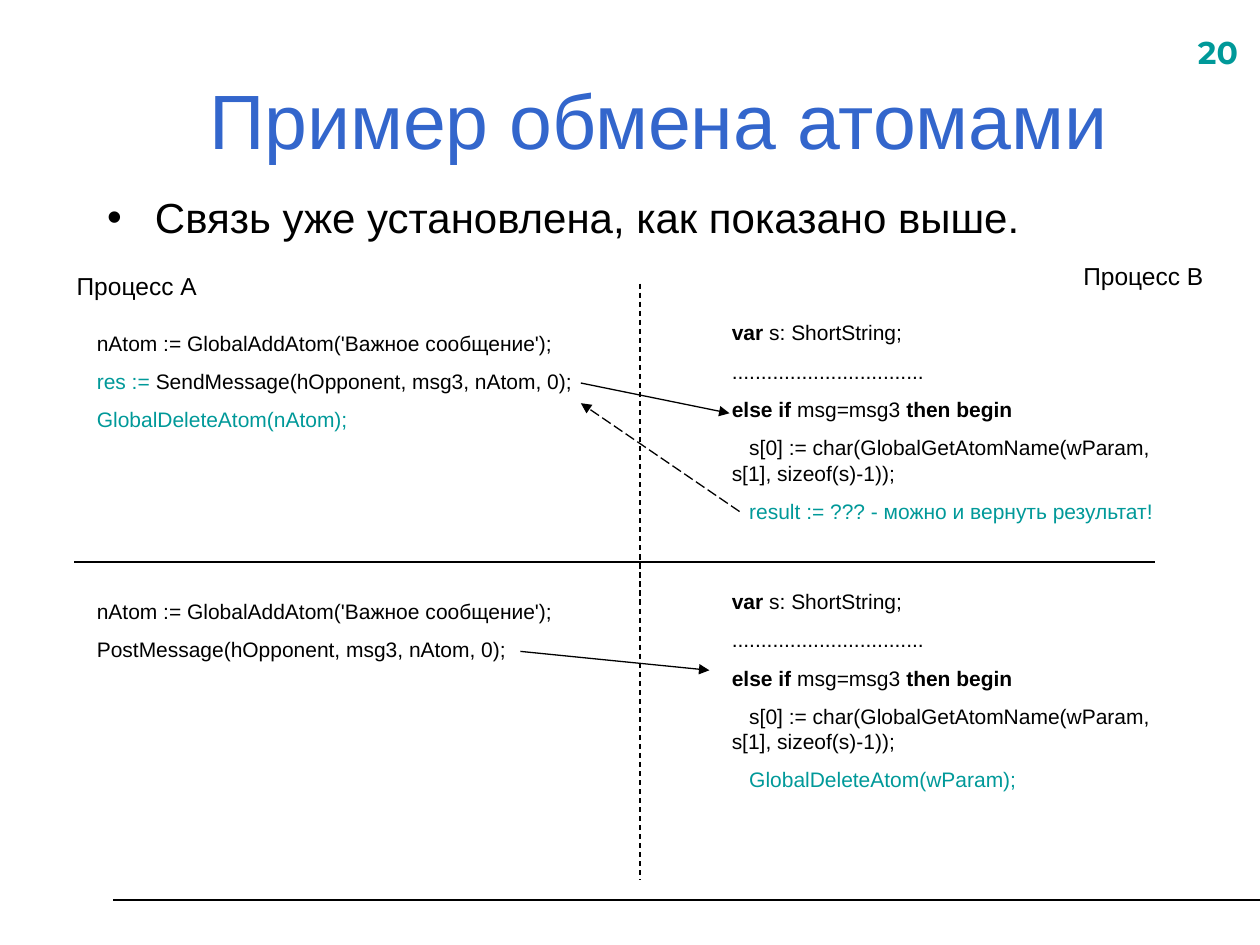
from lxml import etree
from pptx import Presentation
from pptx.dml.color import RGBColor
from pptx.enum.dml import MSO_LINE
from pptx.enum.shapes import MSO_CONNECTOR
from pptx.enum.text import MSO_ANCHOR, MSO_AUTO_SIZE, PP_ALIGN
from pptx.oxml.ns import qn
from pptx.util import Inches, Pt

COLORS = {"title": "3366CC", "accent": "009999", "text": "000000"}
BODY_FONT, NUMBER_FONT = "Arial", "Montserrat"
STRAIGHT = MSO_CONNECTOR.STRAIGHT
DASH, LONG_DASH = MSO_LINE.DASH, MSO_LINE.LONG_DASH
LEFT, CENTER, RIGHT = PP_ALIGN.LEFT, PP_ALIGN.CENTER, PP_ALIGN.RIGHT
TOP, MIDDLE = MSO_ANCHOR.TOP, MSO_ANCHOR.MIDDLE
COLUMNS, ROWS = 100, 75
SCENARIO_STEP = 21.3
CODE_GAP = 7.5


class SlideBuilder:
    """Places styled elements on a grid of 100 columns by 75 rows."""

    def __init__(self, deck):
        self.slide = deck.slides.add_slide(deck.slide_layouts[1])
        self.column = deck.slide_width / COLUMNS
        self.row = deck.slide_height / ROWS

    def box(self, left, top, width, height):
        return (round(left * self.column), round(top * self.row),
                round(width * self.column), round(height * self.row))

    def format_font(self, font, size, color="text", bold=False, name=BODY_FONT):
        font.name, font.size, font.bold = name, Pt(size), bold
        font.color.rgb = RGBColor.from_string(COLORS[color])

    def placeholder(self, index, area, text, size, color, align, anchor):
        holder = self.slide.placeholders[index]
        holder.left, holder.top, holder.width, holder.height = self.box(*area)
        frame = holder.text_frame
        frame.text = text
        frame.auto_size = MSO_AUTO_SIZE.NONE
        frame.vertical_anchor = anchor
        paragraph = frame.paragraphs[0]
        paragraph.alignment = align
        paragraph.space_before = Pt(0)
        self.format_font(paragraph.runs[0].font, size, color)
        return paragraph

    def title(self, area, text):
        self.placeholder(0, area, text, 44, "title", CENTER, MIDDLE)

    def bullet(self, area, text):
        paragraph = self.placeholder(1, area, text, 24, "text", LEFT, TOP)
        properties = paragraph._p.get_or_add_pPr()
        properties.set("marL", str(Inches(0.38)))
        properties.set("indent", str(-Inches(0.38)))
        etree.SubElement(properties, qn("a:buChar"), char="•")

    def text_frame(self, area):
        frame = self.slide.shapes.add_textbox(*self.box(*area)).text_frame
        frame.word_wrap = True
        return frame

    def label(self, area, text, size=14, align=LEFT, **style):
        frame = self.text_frame(area)
        frame.text = text
        frame.paragraphs[0].alignment = align
        self.format_font(frame.paragraphs[0].runs[0].font, size, **style)

    def code(self, area, lines):
        """Each line is a list of (text, style) with style plain, bold or accent."""
        frame = self.text_frame(area)
        for number, line in enumerate(lines):
            paragraph = frame.add_paragraph() if number else frame.paragraphs[0]
            paragraph.space_before = Pt(CODE_GAP if number else 0)
            for text, style in line:
                run = paragraph.add_run()
                run.text = text
                self.format_font(run.font, 12, "accent" if style == "accent" else "text",
                                 style == "bold")

    def line(self, start, end, width=0.75, dash=None, arrow=False):
        points = self.box(*start, *end)
        connector = self.slide.shapes.add_connector(STRAIGHT, *points)
        connector.line.width = Pt(width)
        connector.line.color.rgb = RGBColor.from_string(COLORS["text"])
        if dash:
            connector.line.dash_style = dash
        if arrow:
            etree.SubElement(connector.line._get_or_add_ln(), qn("a:tailEnd"),
                             type="triangle")
        etree.SubElement(connector._element.spPr, qn("a:effectLst"))


def receiver_code(last_line):
    return [
        [("var", "bold"), (" s: ShortString;", "plain")],
        [(".................................", "plain")],
        [("else if ", "bold"), ("msg=msg3 ", "plain"), ("then begin", "bold")],
        [("   s[0] := char(GlobalGetAtomName(wParam, \ts[1], sizeof(s)-1));", "plain")],
        [("   " + last_line, "accent")],
    ]


ADD_ATOM = [("nAtom := GlobalAddAtom('Важное сообщение');", "plain")]
SCENARIOS = [
    (
        [ADD_ATOM,
         [("res := ", "accent"), ("SendMessage(hOpponent, msg3, nAtom, 0);", "plain")],
         [("GlobalDeleteAtom(nAtom);", "accent")]],
        "result := ??? - можно и вернуть результат!",
        ((46.1, 30.4), (57.9, 32.8)),
    ),
    (
        [ADD_ATOM, [("PostMessage(hOpponent, msg3, nAtom, 0);", "plain")]],
        "GlobalDeleteAtom(wParam);",
        ((41.3, 51.7), (56.3, 53.2)),
    ),
]


def main():
    deck = Presentation()
    deck.slide_width, deck.slide_height = Inches(10), Inches(7.5)
    page = SlideBuilder(deck)

    page.line((9, 71.4), (100, 71.4), width=1.25)
    page.label((94.1, 2.1, 6.3, 4.4), "20", 18, color="accent", bold=True,
               name=NUMBER_FONT)
    page.title((7.3, 3.2, 90, 12.5), "Пример обмена атомами")
    page.bullet((7.5, 14.7, 90, 6.3), "Связь уже установлена, как показано выше.")

    page.line((50.8, 22.5), (50.8, 69.8), dash=DASH)
    page.line((5.9, 44.6), (91.7, 44.6))
    page.label((5.1, 21, 18.1, 3.4), "Процесс А")
    page.label((68.9, 20.2, 27.6, 3.4), "Процесс B", align=RIGHT)

    for index, (sender, last_line, message) in enumerate(SCENARIOS):
        offset = index * SCENARIO_STEP
        page.code((6.7, 25.7 + offset, 42.5, 9.1), sender)
        page.code((57.1, 24.9 + offset, 39.4, 17.2), receiver_code(last_line))
        page.line(*message, arrow=True)
    page.line((58.7, 40.6), (46.1, 32), dash=LONG_DASH, arrow=True)

    deck.save("out.pptx")


if __name__ == "__main__":
    main()
